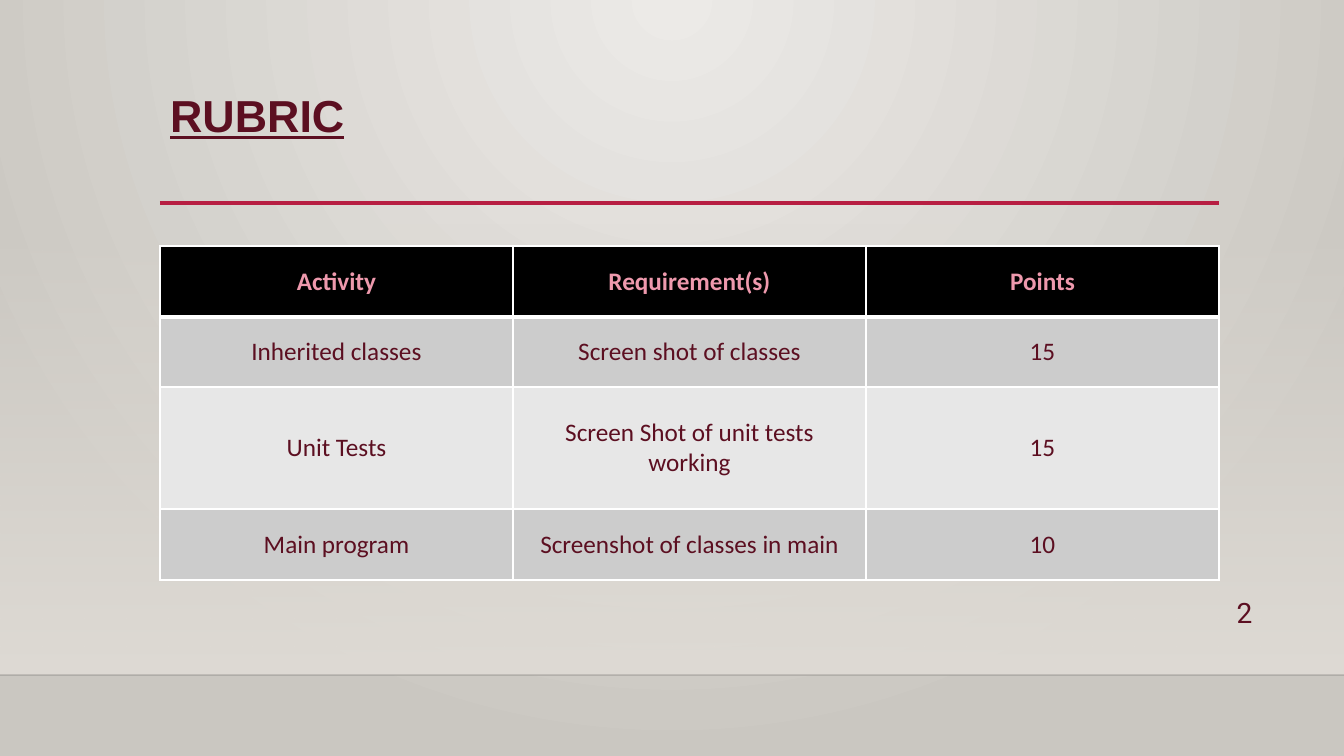
import pptx
import pptx.util
import pptx.dml.color
import pptx.enum.shapes
import pptx.enum.text
import pptx.oxml
import pptx.oxml.ns
from dataclasses import dataclass

EMU_PER_PX = 914400 / 100.8
WIDTH, HEIGHT = 1344, 756
LEFT, RIGHT = 160, 1219
FLOOR = 675

RUBRIC = [
    ("Activity", "Requirement(s)", "Points"),
    ("Inherited classes", "Screen shot of classes", "15"),
    ("Unit Tests", "Screen Shot of unit tests working", "15"),
    ("Main program", "Screenshot of classes in main", "10"),
]
ROW_HEIGHTS = (71, 70, 122, 71)


@dataclass(frozen=True)
class Theme:
    ink: str = "5C0F21"
    header_ink: str = "EE99AD"
    header_fill: str = "000000"
    bands: tuple = ("E7E7E7", "CCCCCC")
    border: str = "FFFFFF"
    accent: str = "B71E42"
    floor_line: str = "000001"
    backdrop: tuple = (("ECEAE7", 100), ("CAC7C1", 100))
    haze: tuple = (("DFDBD5", 0), ("DFDBD5", 100))
    title_size: int = 32
    cell_size: int = 18
    number_size: int = 20


THEME = Theme()


def px(length):
    return pptx.util.Emu(round(length * EMU_PER_PX))


def rgb(code):
    return pptx.dml.color.RGBColor.from_string(code)


def drawing_xml(tag, body, attributes=""):
    namespace = pptx.oxml.ns.nsdecls("a")
    return pptx.oxml.parse_xml(f"<a:{tag} {namespace} {attributes}>{body}</a:{tag}>")


def set_gradient(fill, owner, stops, direction):
    fill.gradient()
    default = owner.find(".//" + pptx.oxml.ns.qn("a:gradFill"))
    stop_list = "".join(
        f'<a:gs pos="{index * 100000}"><a:srgbClr val="{color}">'
        f'<a:alpha val="{opacity * 1000}"/></a:srgbClr></a:gs>'
        for index, (color, opacity) in enumerate(stops))
    default.getparent().replace(default, drawing_xml(
        "gradFill", f"<a:gsLst>{stop_list}</a:gsLst>{direction}", 'rotWithShape="1"'))


def write(frame, text, alignment, frame_format, font_format, color):
    frame.text = text
    paragraph = frame.paragraphs[0]
    paragraph.alignment = alignment
    font = paragraph.runs[0].font
    for name, value in frame_format.items():
        setattr(frame, name, value)
    for name, value in font_format.items():
        setattr(font, name, value)
    font.color.rgb = rgb(color)
    return paragraph


def add_rule(slide, start, end, y, color, width, opacity=100):
    rule = slide.shapes.add_connector(
        pptx.enum.shapes.MSO_CONNECTOR.STRAIGHT, px(start), px(y), px(end), px(y))
    rule.line.color.rgb = rgb(color)
    rule.line.width = pptx.util.Pt(width)
    if opacity < 100:
        tint = rule.element.find(".//" + pptx.oxml.ns.qn("a:srgbClr"))
        tint.append(drawing_xml("alpha", "", f'val="{opacity * 1000}"'))
    rule.element.spPr.append(drawing_xml("effectLst", ""))


def add_backdrop(slide):
    set_gradient(slide.background.fill, slide.element, THEME.backdrop,
                 '<a:path path="circle"><a:fillToRect l="43000" r="43000" b="100000"/></a:path>')
    haze = slide.shapes.add_shape(
        pptx.enum.shapes.MSO_SHAPE.RECTANGLE, 0, px(223), px(WIDTH), px(FLOOR - 223))
    haze.shadow.inherit = False
    haze.line.fill.background()
    set_gradient(haze.fill, haze.element, THEME.haze, '<a:lin ang="5400000" scaled="0"/>')
    add_rule(slide, 0, WIDTH, FLOOR, THEME.floor_line, 1, opacity=20)


def add_title(slide, text):
    title = slide.shapes.title
    place = {"left": LEFT, "top": 89, "width": RIGHT - LEFT, "height": 116}
    for name, value in place.items():
        setattr(title, name, px(value))
    paragraph = write(
        title.text_frame, text, pptx.enum.text.PP_ALIGN.LEFT,
        {"vertical_anchor": pptx.enum.text.MSO_ANCHOR.TOP, "word_wrap": True,
         "auto_size": pptx.enum.text.MSO_AUTO_SIZE.NONE},
        {"name": "Arial", "size": pptx.util.Pt(THEME.title_size),
         "bold": True, "underline": True}, THEME.ink)
    paragraph.line_spacing = 0.9


def set_borders(cell, bottom_width):
    widths = {"lnL": 1, "lnR": 1, "lnT": 1, "lnB": bottom_width}
    properties = cell._tc.get_or_add_tcPr()
    for index, (side, width) in enumerate(widths.items()):
        properties.insert(index, drawing_xml(
            side, f'<a:solidFill><a:srgbClr val="{THEME.border}"/></a:solidFill>',
            f'w="{pptx.util.Pt(width)}"'))


def add_rubric(slide):
    rubric = slide.shapes.add_table(
        len(RUBRIC), len(RUBRIC[0]), px(LEFT), px(246),
        px(RIGHT - LEFT), px(sum(ROW_HEIGHTS))).table
    for row, height in zip(rubric.rows, ROW_HEIGHTS):
        row.height = px(height)
    for row_index, entries in enumerate(RUBRIC):
        is_header = row_index == 0
        for column_index, entry in enumerate(entries):
            cell = rubric.cell(row_index, column_index)
            cell.vertical_anchor = pptx.enum.text.MSO_ANCHOR.MIDDLE
            write(cell.text_frame, entry, pptx.enum.text.PP_ALIGN.CENTER, {},
                  {"name": "Calibri", "size": pptx.util.Pt(THEME.cell_size),
                   "bold": is_header},
                  THEME.header_ink if is_header else THEME.ink)
            cell.fill.solid()
            cell.fill.fore_color.rgb = rgb(
                THEME.header_fill if is_header else THEME.bands[row_index % 2])
            # The rule under the header is heavier; both cells sharing it agree
            set_borders(cell, 3 if is_header else 1)
            if row_index == 1:
                top = cell._tc.tcPr.find(pptx.oxml.ns.qn("a:lnT"))
                top.set("w", str(pptx.util.Pt(3)))


def add_page_number(slide, number):
    page = slide.shapes.add_textbox(px(1209), px(591), px(71), px(44))
    write(page.text_frame, number, pptx.enum.text.PP_ALIGN.CENTER,
          {"word_wrap": True, "auto_size": pptx.enum.text.MSO_AUTO_SIZE.SHAPE_TO_FIT_TEXT},
          {"name": "Roboto", "size": pptx.util.Pt(THEME.number_size)}, THEME.ink)


def main():
    deck = pptx.Presentation()
    deck.slide_width, deck.slide_height = px(WIDTH), px(HEIGHT)
    slide = deck.slides.add_slide(deck.slide_layouts[5])

    # Backdrop and title
    add_backdrop(slide)
    add_rule(slide, LEFT, RIGHT, 203, THEME.accent, 2.5)
    add_title(slide, "RUBRIC")

    # Grading table and page number
    add_rubric(slide)
    add_page_number(slide, "2")
    deck.save("out.pptx")


if __name__ == "__main__":
    main()
